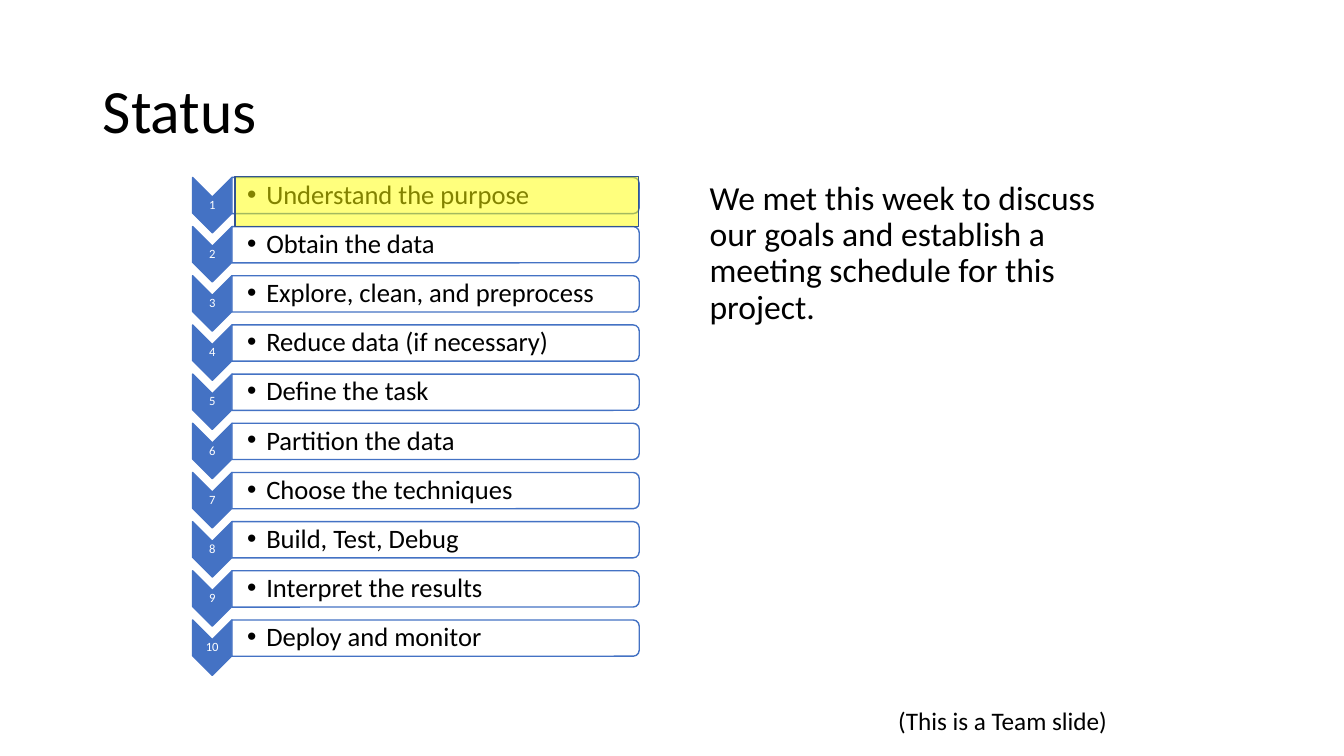
from lxml.etree import SubElement
from pptx import Presentation
from pptx.dml.color import RGBColor
from pptx.enum.shapes import MSO_SHAPE
from pptx.enum.text import MSO_ANCHOR, MSO_AUTO_SIZE, PP_ALIGN
from pptx.oxml.ns import qn
from pptx.util import Inches, Pt

INK = {"text": "000000", "paper": "FFFFFF", "blue": "4472C4",
       "edge": "325491", "mark": "FFFF00"}
FONT = "Calibri"
WIDE, HIGH = Inches(13.33), Inches(7.5)
STEPS = ["Understand the purpose", "Obtain the data",
         "Explore, clean, and preprocess", "Reduce data (if necessary)",
         "Define the task", "Partition the data", "Choose the techniques",
         "Build, Test, Debug", "Interpret the results", "Deploy and monitor"]


def across(share):
    """Percent of the slide's width."""
    return int(WIDE * share / 100)


def down(share):
    """Percent of the slide's height."""
    return int(HIGH * share / 100)


def area(left, top, width, height):
    return across(left), down(top), across(width), down(height)


def centre(box, height):
    """The same box with a new height about its middle."""
    left, top, width, old = box
    return left, top + (old - height) // 2, width, height


def color(name):
    return RGBColor.from_string(INK[name])


def write(frame, text, size, ink="text", align=PP_ALIGN.LEFT, tight=0.9):
    para = frame.paragraphs[0]
    para.alignment = align
    para.line_spacing = tight
    run = para.add_run()
    run.text = text
    run.font.size = Pt(size)
    run.font.name = FONT
    run.font.color.rgb = color(ink)
    return para


def indent(para, left, first=0, bullet=None):
    props = para._p.get_or_add_pPr()
    props.set("marL", str(Inches(left)))
    props.set("indent", str(Inches(first)))
    if bullet:
        SubElement(props, qn("a:buFont")).set("typeface", "Arial")
        SubElement(props, qn("a:buChar")).set("char", bullet)


def label(shapes, box, pad=None):
    """An empty text frame; pad gives left margin with thin other sides."""
    frame = shapes.add_textbox(*box).text_frame
    frame.word_wrap = True
    if pad is not None:
        frame.vertical_anchor = MSO_ANCHOR.MIDDLE
        frame.margin_left = Inches(pad)
        frame.margin_top = frame.margin_right = frame.margin_bottom = Inches(0.01)
    return frame


def draw(shapes, kind, box, fill, line, alpha=None):
    shape = shapes.add_shape(kind, *box)
    shape.shadow.inherit = False
    shape.fill.solid()
    shape.fill.fore_color.rgb = color(fill)
    shape.line.color.rgb = color(line)
    shape.line.width = Pt(1)
    if alpha:
        tint = shape._element.spPr.find(qn("a:solidFill"))[0]
        SubElement(tint, qn("a:alpha")).set("val", str(alpha * 1000))
    return shape


def turn(shapes, kind, box, fill, alpha=None):
    """A shape turned by a quarter that covers the box as seen."""
    left, top, width, height = box
    shift = (width - height) // 2
    flat = left + shift, top - shift, height, width
    draw(shapes, kind, flat, fill, "blue", alpha).rotation = 90


def head(slide, box):
    title = slide.shapes.title
    title.left, title.top, title.width, title.height = box
    frame = title.text_frame
    frame.auto_size = MSO_AUTO_SIZE.NONE
    frame.vertical_anchor = MSO_ANCHOR.MIDDLE
    write(frame, "Status", 44)


def steps(slide, box):
    left, top, width, height = box
    arm, tall, bar = across(2.93), down(7.33), down(4.8)
    pitch = (height - tall) / (len(STEPS) - 1)
    shapes = slide.shapes.add_group_shape().shapes
    for row, text in enumerate(STEPS):
        y = int(top + row * pitch)
        # Numbered chevron
        tip = left, y, arm, tall
        turn(shapes, MSO_SHAPE.CHEVRON, tip, "blue")
        frame = label(shapes, centre(tip, down(2.27)), 0.01)
        write(frame, str(row + 1), 9, "paper", PP_ALIGN.CENTER)
        # Step bar
        strip = left + arm, y, width - arm, bar
        turn(shapes, MSO_SHAPE.ROUND_2_SAME_RECTANGLE, strip, "paper", 90)
        frame = label(shapes, centre(strip, down(4.27)), 0.15)
        indent(write(frame, text, 19), 0.19, -0.19, "•")


def report(slide, box):
    para = write(label(slide.shapes, box),
                 "We met this week to discuss our goals and establish "
                 "a meeting schedule for this project.", 24)
    para.space_before = Pt(5)
    indent(para, 0.44)


def note(slide, box):
    frame = label(slide.shapes, box)
    frame.word_wrap = False
    frame.auto_size = MSO_AUTO_SIZE.SHAPE_TO_FIT_TEXT
    write(frame, "(This is a Team slide)", 18, tight=1.0)


def main():
    deck = Presentation()
    deck.slide_width, deck.slide_height = WIDE, HIGH
    slide = deck.slides.add_slide(deck.slide_layouts[5])
    head(slide, area(6.9, 5.33, 86.27, 19.33))
    report(slide, area(48.76, 23.33, 35.03, 66))
    steps(slide, area(14.33, 23.47, 33.23, 65.87))
    # Highlight on the current step
    draw(slide.shapes, MSO_SHAPE.RECTANGLE,
         area(17.48, 23.33, 30.01, 6.67), "mark", "edge", 51)
    note(slide, area(66.09, 92.67, 17.25, 5.33))
    deck.save("out.pptx")


if __name__ == "__main__":
    main()
